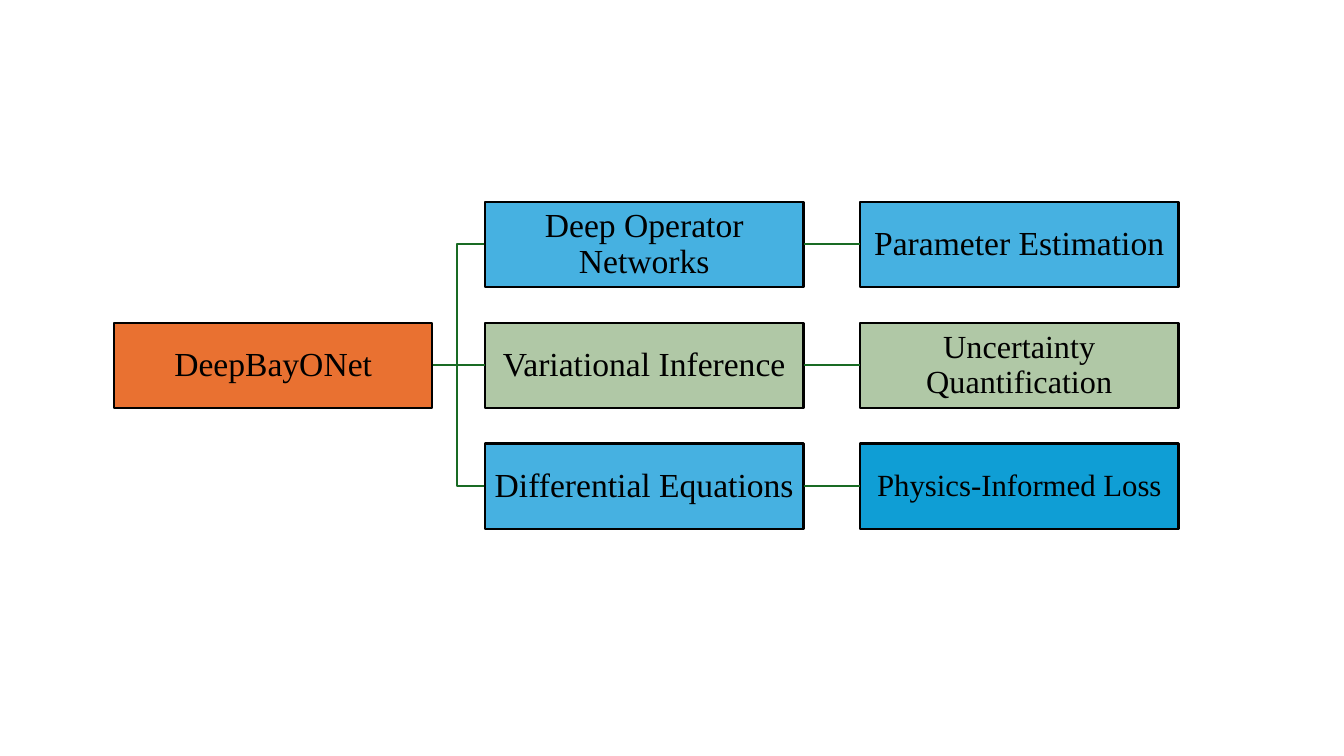
from lxml.etree import SubElement
from pptx import Presentation
from pptx.dml.color import RGBColor
from pptx.enum.shapes import MSO_CONNECTOR, MSO_SHAPE
from pptx.enum.text import MSO_ANCHOR, PP_ALIGN
from pptx.oxml.ns import qn
from pptx.util import Inches, Pt

COLORS = {"orange": "E97131", "blue": "46B1E1", "sage": "B0C8A6",
          "deep_blue": "0F9ED5", "green": "196B24", "black": "000000"}
BOX_WIDTH, BOX_HEIGHT = 3.16, 0.85
COLUMN_LEFTS = [1.13, 4.81, 8.53]
ROW_TOPS = [2 + 1.2 * row for row in range(3)]
BRANCH_X = 4.53
LEFT_SITE, RIGHT_SITE = 1, 3

# text, column, row, fill, font size
BOXES = [
    ("DeepBayONet", 0, 1, "orange", 24),
    ("Deep Operator Networks", 1, 0, "blue", 24),
    ("Parameter Estimation", 2, 0, "blue", 24),
    ("Variational Inference", 1, 1, "sage", 24),
    ("Uncertainty Quantification", 2, 1, "sage", 23),
    ("Differential Equations", 1, 2, "blue", 24),
    ("Physics-Informed Loss", 2, 2, "deep_blue", 22),
]


def style_line(line, color):
    line.color.rgb = RGBColor.from_string(COLORS[color])
    line.width = Pt(1.5)


presentation = Presentation()
presentation.slide_width = Inches(13.33)
presentation.slide_height = Inches(7.5)
slide = presentation.slides.add_slide(presentation.slide_layouts[6])

# Elbow branches from the root to the top and bottom rows
root_right = COLUMN_LEFTS[0] + BOX_WIDTH
root_middle = ROW_TOPS[1] + BOX_HEIGHT / 2
for row in (0, 2):
    row_middle = ROW_TOPS[row] + BOX_HEIGHT / 2
    builder = slide.shapes.build_freeform(Inches(root_right), Inches(root_middle))
    builder.add_line_segments(
        [(Inches(x), Inches(y)) for x, y in [(BRANCH_X, root_middle),
                                             (BRANCH_X, row_middle),
                                             (COLUMN_LEFTS[1], row_middle)]],
        close=False)
    branch = builder.convert_to_shape()
    branch.fill.background()
    branch.shadow.inherit = False
    style_line(branch.line, "green")

# Boxes
boxes = {}
for text, column, row, fill, size in BOXES:
    box = slide.shapes.add_shape(
        MSO_SHAPE.RECTANGLE, Inches(COLUMN_LEFTS[column]), Inches(ROW_TOPS[row]),
        Inches(BOX_WIDTH), Inches(BOX_HEIGHT))
    box.shadow.inherit = False
    box.fill.solid()
    box.fill.fore_color.rgb = RGBColor.from_string(COLORS[fill])
    style_line(box.line, "black")

    frame = box.text_frame
    frame_format = {"word_wrap": True, "vertical_anchor": MSO_ANCHOR.MIDDLE}
    for side in ("left", "right", "top", "bottom"):
        frame_format[f"margin_{side}"] = Inches(0.02)
    for name, value in frame_format.items():
        setattr(frame, name, value)

    paragraph = frame.paragraphs[0]
    paragraph.text = text
    for name, value in {"alignment": PP_ALIGN.CENTER, "line_spacing": 0.9}.items():
        setattr(paragraph, name, value)
    font = paragraph.runs[0].font
    for name, value in {"name": "Times New Roman", "size": Pt(size)}.items():
        setattr(font, name, value)
    font.color.rgb = RGBColor.from_string(COLORS["black"])
    boxes[column, row] = box

# Straight links between neighbouring boxes
for start, end in [((0, 1), (1, 1))] + [((1, row), (2, row)) for row in range(3)]:
    link = slide.shapes.add_connector(MSO_CONNECTOR.STRAIGHT, 0, 0, 0, 0)
    link.begin_connect(boxes[start], RIGHT_SITE)
    link.end_connect(boxes[end], LEFT_SITE)
    style_line(link.line, "green")
    SubElement(link._element.spPr, qn("a:effectLst"))

presentation.save("out.pptx")
